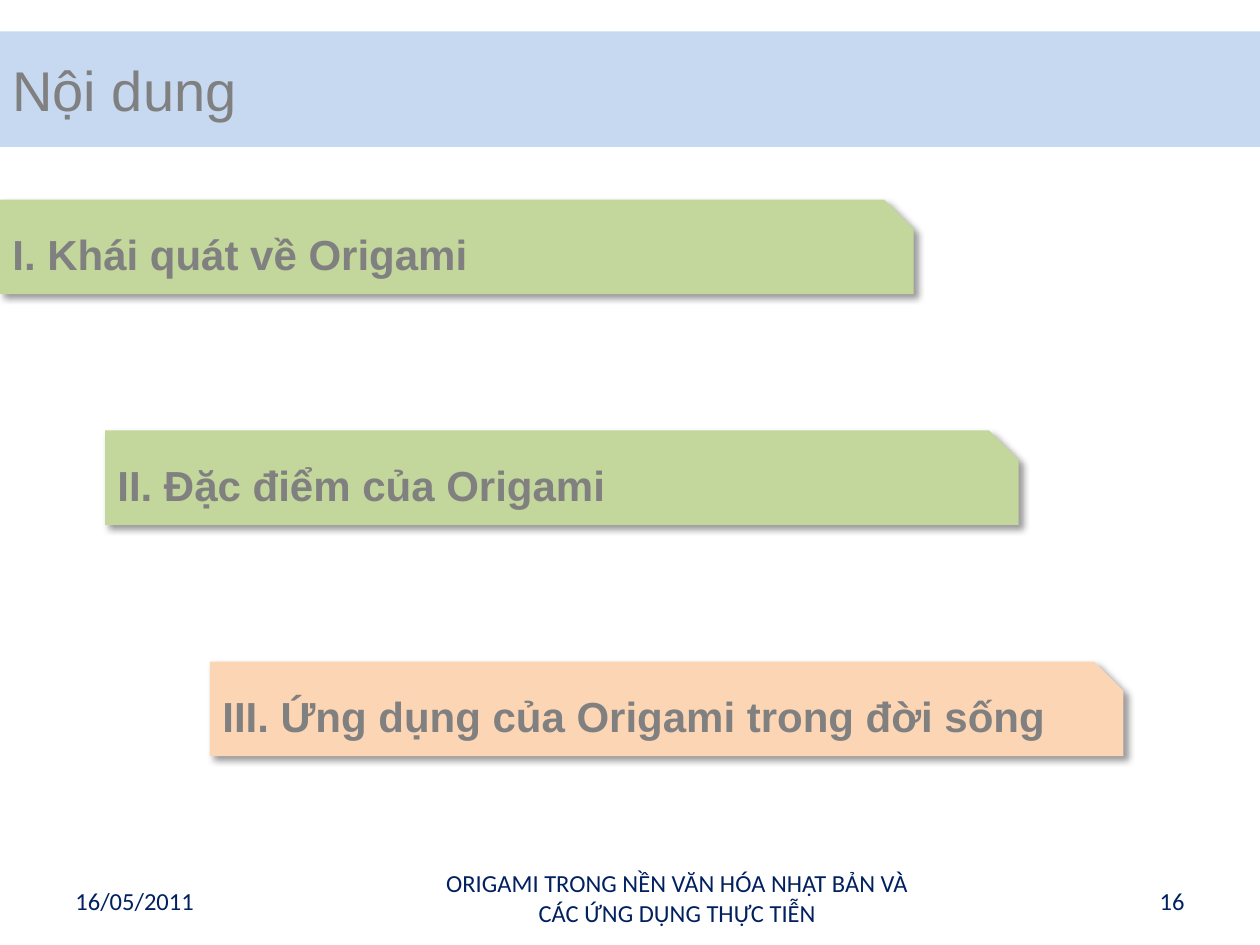
from typing import NamedTuple

from lxml import etree
from pptx import Presentation
from pptx import util as u
from pptx.dml.color import RGBColor
from pptx.enum import shapes, text
from pptx.oxml.ns import qn

PX = 7620  # EMU per px, 120 px to the inch
GREY, NAVY, BLUE, GREEN, PEACH = "808080", "002060", "C6D9F1", "C3D69B", "FCD5B5"
LEFT, MID, RIGHT = text.PP_ALIGN.LEFT, text.PP_ALIGN.CENTER, text.PP_ALIGN.RIGHT
RECT = shapes.MSO_SHAPE.RECTANGLE
SNIP = shapes.MSO_SHAPE.SNIP_1_RECTANGLE


class Box(NamedTuple):
    x: int
    y: int
    w: int
    h: int


class Font(NamedTuple):
    name: str
    size: int
    color: str
    bold: bool = False


class Topic(NamedTuple):
    words: str
    fill: str


class Note(NamedTuple):
    box: Box
    words: str
    align: text.PP_ALIGN


HEAD = Font("Arial", 32, GREY)
ITEM = Font("Arial", 24, GREY, True)
FOOT = Font("Calibri", 14, NAVY)

TOPICS = [
    Topic("I. Khái quát về Origami", GREEN),
    Topic("II. Đặc điểm của Origami", GREEN),
    Topic("III. Ứng dụng của Origami trong đời sống", PEACH),
]
NOTES = [
    Note(Box(60, 834, 280, 48), "16/05/2011", LEFT),
    Note(Box(410, 810, 470, 90),
         "ORIGAMI TRONG NỀN VĂN HÓA NHẬT BẢN VÀ CÁC ỨNG DỤNG THỰC TIỄN", MID),
    Note(Box(860, 834, 280, 48), "16", RIGHT),
]


def emu(box: Box) -> list[int]:
    return [side * PX for side in box]


def color(code: str) -> RGBColor:
    return RGBColor.from_string(code)


def write(shape, words: str, font: Font, align=LEFT) -> None:
    frame = shape.text_frame
    frame.word_wrap = True
    frame.vertical_anchor = text.MSO_ANCHOR.MIDDLE
    para = frame.paragraphs[0]
    para.alignment = align
    run = para.add_run()
    run.text = words
    run.font.name = font.name
    run.font.size = u.Pt(font.size)
    run.font.bold = font.bold
    run.font.color.rgb = color(font.color)


def panel(slide, kind, box: Box, fill: str):
    """Add a filled shape with neither line nor shadow."""
    shape = slide.shapes.add_shape(kind, *emu(box))
    shape.shadow.inherit = False
    shape.fill.solid()
    shape.fill.fore_color.rgb = color(fill)
    shape.line.fill.background()
    return shape


def shade(shape) -> None:
    """Cast a soft black shadow down to the right."""
    effects = shape.element.spPr.find(qn("a:effectLst"))
    cast = etree.SubElement(
        effects, qn("a:outerShdw"), blurRad=str(u.Pt(4)), dist=str(u.Pt(3)),
        dir="2700000", algn="tl", rotWithShape="0")
    tint = etree.SubElement(cast, qn("a:srgbClr"), val="000000")
    etree.SubElement(tint, qn("a:alpha"), val="40000")


def main() -> None:
    deck = Presentation()
    deck.slide_width, deck.slide_height = 1200 * PX, 900 * PX
    slide = deck.slides.add_slide(deck.slide_layouts[6])

    title = panel(slide, RECT, Box(0, 30, 1200, 110), BLUE)
    write(title, "Nội dung", HEAD)

    for note in NOTES:
        area = slide.shapes.add_textbox(*emu(note.box))
        write(area, note.words, FOOT, note.align)

    for i, topic in enumerate(TOPICS):
        box = Box(100 * i, 190 + 220 * i, 870, 90)
        step = panel(slide, SNIP, box, topic.fill)
        step.adjustments[0] = 0.31
        shade(step)
        write(step, topic.words, ITEM)

    deck.save("out.pptx")


if __name__ == "__main__":
    main()
